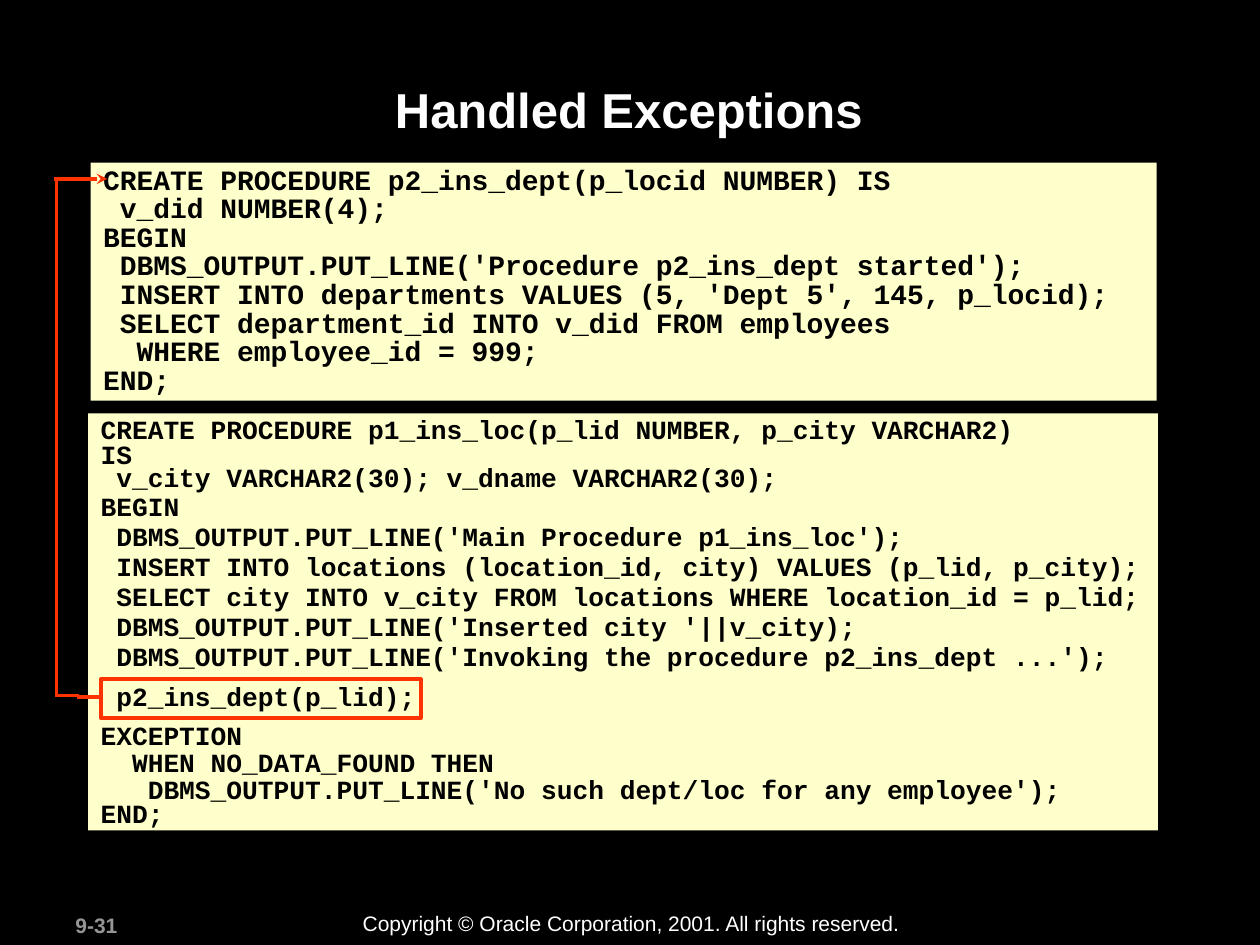
from pptx import Presentation
from pptx.dml.color import RGBColor
from pptx.enum.shapes import MSO_CONNECTOR, MSO_SHAPE
from pptx.enum.text import MSO_ANCHOR, PP_ALIGN
from pptx.oxml.ns import qn
from pptx.util import Inches, Pt
from lxml.etree import SubElement

RED, CREAM = "FF3300", "FFFFCC"

LABELS = [
    ((0.5, 7.19, 1.05, 0.3), "9-31", "969696", 12, True, PP_ALIGN.LEFT),
    ((2.78, 7.18, 4.48, 0.3),
     "Copyright © Oracle Corporation, 2001. All rights reserved.",
     "FFFFFF", 12, False, PP_ALIGN.LEFT),
    ((0.94, 0.58, 8.1, 0.96), "Handled Exceptions", "FFFFFF", 28, True, PP_ALIGN.CENTER),
]

PANELS = [
    ((0.7, 3.28, 8.49, 3.31), 15, [
        (0.95, ["CREATE PROCEDURE p1_ins_loc(p_lid NUMBER, p_city VARCHAR2)"]),
        (0.75, ["IS",
                " v_city VARCHAR2(30); v_dname VARCHAR2(30);"]),
        (0.95, ["BEGIN",
                " DBMS_OUTPUT.PUT_LINE('Main Procedure p1_ins_loc');",
                " INSERT INTO locations (location_id, city) VALUES (p_lid, p_city);",
                " SELECT city INTO v_city FROM locations WHERE location_id = p_lid;",
                " DBMS_OUTPUT.PUT_LINE('Inserted city '||v_city);",
                " DBMS_OUTPUT.PUT_LINE('Invoking the procedure p2_ins_dept ...');"]),
        (1.25, [" p2_ins_dept(p_lid);",
                "EXCEPTION"]),
        (0.85, ["  WHEN NO_DATA_FOUND THEN",
                "   DBMS_OUTPUT.PUT_LINE('No such dept/loc for any employee');"]),
        (0.75, ["END;"]),
    ]),
    ((0.72, 1.29, 8.46, 1.89), 16, [
        (0.85, ["CREATE PROCEDURE p2_ins_dept(p_locid NUMBER) IS",
                " v_did NUMBER(4);",
                "BEGIN",
                " DBMS_OUTPUT.PUT_LINE('Procedure p2_ins_dept started');",
                " INSERT INTO departments VALUES (5, 'Dept 5', 145, p_locid);",
                " SELECT department_id INTO v_did FROM employees",
                "  WHERE employee_id = 999;",
                "END;"]),
    ]),
]

CALL = (0.8, 5.39, 2.54, 0.31)

LINKS = [
    (0.44, 5.52, 0.63, 5.52, False),
    (0.43, 1.42, 0.85, 1.42, True),
    (0.45, 1.41, 0.45, 5.52, False),
    (0.61, 5.53, 0.8, 5.53, False),
]


def tint(code):
    return RGBColor.from_string(code)


def inch(vals):
    return [Inches(v) for v in vals]


def style(font, code, **vals):
    for key, val in vals.items():
        setattr(font, key, val)
    font.color.rgb = tint(code)


def edge(line):
    line.color.rgb = tint(RED)
    line.width = Pt(2)


def rect(slide, place):
    shape = slide.shapes.add_shape(MSO_SHAPE.RECTANGLE, *inch(place))
    shape.shadow.inherit = False
    return shape


def label(slide, place, text, code, size, bold, align):
    frame = slide.shapes.add_textbox(*inch(place)).text_frame
    frame.word_wrap = True
    para = frame.paragraphs[0]
    para.text = text
    para.alignment = align
    style(para.runs[0].font, code, name="Arial", size=Pt(size), bold=bold)


def panel(slide, place, size, groups):
    shape = rect(slide, place)
    shape.fill.solid()
    shape.fill.fore_color.rgb = tint(CREAM)
    shape.line.fill.background()
    frame = shape.text_frame
    frame.word_wrap = True
    frame.vertical_anchor = MSO_ANCHOR.MIDDLE
    rows = [(gap, text) for gap, texts in groups for text in texts]
    frame.text = "\n".join(text for gap, text in rows)
    for para, (gap, text) in zip(frame.paragraphs, rows):
        para.alignment = PP_ALIGN.LEFT
        para.line_spacing = gap
        style(para.runs[0].font, "000000", name="Courier New", size=Pt(size), bold=True)


def link(slide, x1, y1, x2, y2, head):
    wire = slide.shapes.add_connector(MSO_CONNECTOR.STRAIGHT, *inch((x1, y1, x2, y2)))
    edge(wire.line)
    if head:
        SubElement(wire.line._get_or_add_ln(), qn("a:tailEnd"), type="stealth")
    SubElement(wire._element.spPr, qn("a:effectLst"))


def main():
    deck = Presentation()
    deck.slide_width, deck.slide_height = inch((10, 7.5))
    slide = deck.slides.add_slide(deck.slide_layouts[6])
    slide.background.fill.solid()
    slide.background.fill.fore_color.rgb = tint("000000")
    for item in LABELS:
        label(slide, *item)
    for item in PANELS:
        panel(slide, *item)
    mark = rect(slide, CALL)
    mark.fill.background()
    edge(mark.line)
    for item in LINKS:
        link(slide, *item)
    deck.save("out.pptx")


if __name__ == "__main__":
    main()
